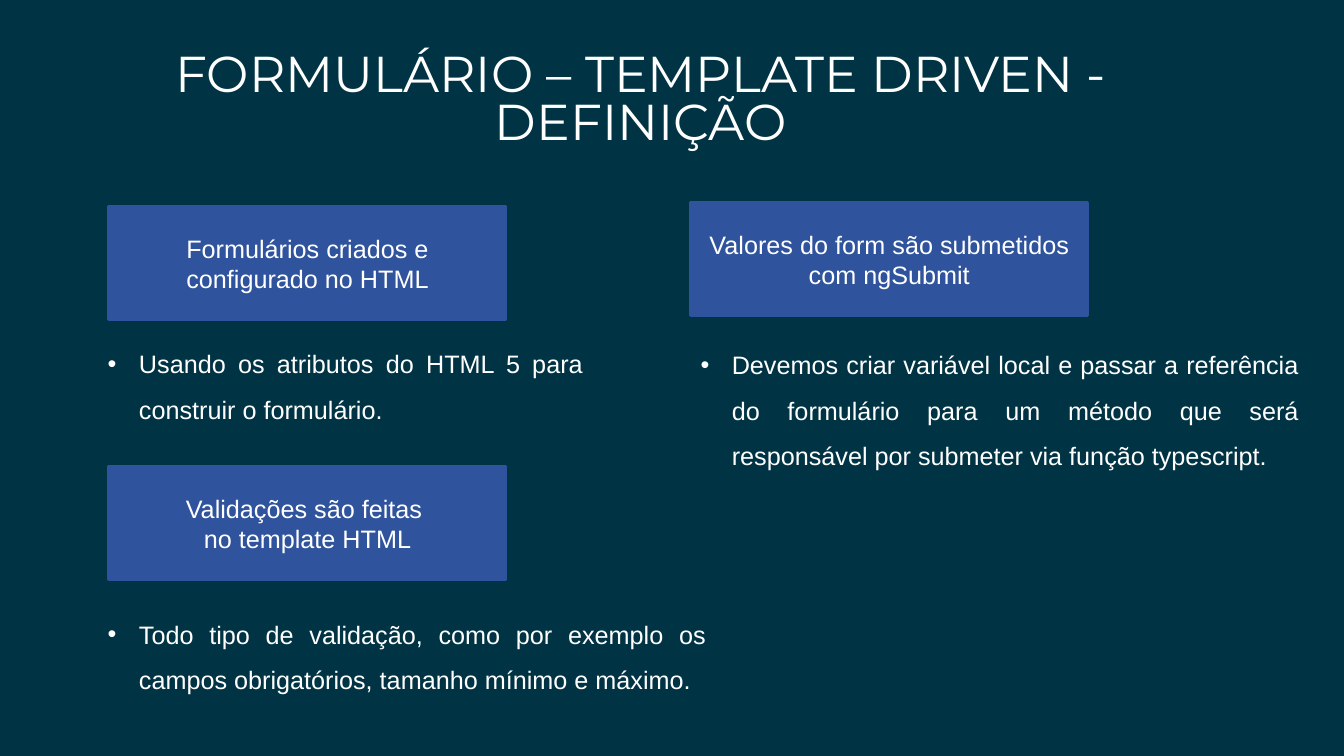
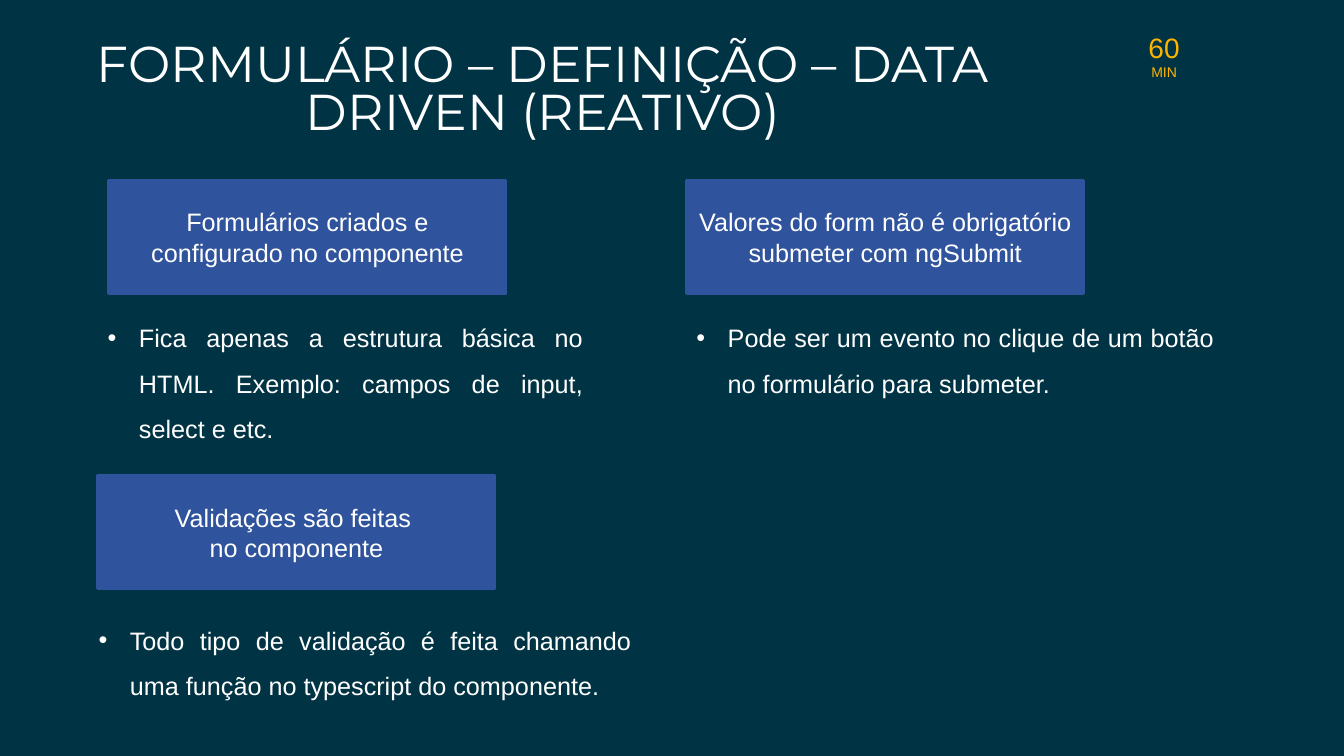
from dataclasses import dataclass

from lxml import etree
from pptx import Presentation
from pptx.dml.color import RGBColor
from pptx.enum import shapes, text
from pptx.oxml.ns import qn
from pptx.util import Inches, Pt

BACKGROUND = "003344"
WHITE = "FFFFFF"
BLUE = "2F539C"
AMBER = "FFB500"
BODY_FONT = "Arial"
TITLE_FONT = "Montserrat"
TITLE_WIDTH, TITLE_HEIGHT = 10.77, 0.91
LABEL_WIDTH, LABEL_HEIGHT = 3.94, 1.12
BULLET_INDENT = 0.31


@dataclass(frozen=True)
class Title:
    left: float
    top: float
    wording: str


@dataclass(frozen=True)
class Label:
    left: float
    top: float
    lines: tuple[str, ...]


@dataclass(frozen=True)
class Bullet:
    left: float
    top: float
    width: float
    height: float
    wording: str


@dataclass(frozen=True)
class Page:
    title: Title
    labels: tuple[Label, ...]
    bullets: tuple[Bullet, ...]
    minutes: str = ""


PAGES = (
    Page(
        Title(0.97, 0.48, "FORMULÁRIO – TEMPLATE DRIVEN - DEFINIÇÃO"),
        (
            Label(1.08, 4.63, ("Validações são feitas ", "no template HTML")),
            Label(1.08, 2.05, ("Formulários criados e configurado no HTML",)),
            Label(6.85, 2.01, ("Valores do form são submetidos com ngSubmit",)),
        ),
        (
            Bullet(0.97, 5.94, 6.13, 0.95,
                   "Todo tipo de validação, como por exemplo os campos "
                   "obrigatórios, tamanho mínimo e máximo."),
            Bullet(6.85, 3.27, 6.13, 1.46,
                   "Devemos criar variável local e passar a referência do "
                   "formulário para um método que será responsável por "
                   "submeter via função typescript."),
            Bullet(0.97, 3.26, 4.91, 1.01,
                   "Usando os atributos do HTML 5 para construir o formulário."),
        ),
    ),
    Page(
        Title(0, 0.38, "FORMULÁRIO – DEFINIÇÃO – DATA DRIVEN (REATIVO)"),
        (
            Label(0.97, 4.72, ("Validações são feitas ", "no componente")),
            Label(1.08, 1.79, ("Formulários criados e configurado no componente",)),
            Label(6.81, 1.79,
                  ("Valores do form não é obrigatório submeter com ngSubmit",)),
        ),
        (
            Bullet(0.88, 6, 5.48, 1.01,
                   "Todo tipo de validação é feita chamando uma função no "
                   "typescript do componente."),
            Bullet(6.81, 3, 5.33, 0.95,
                   "Pode ser um evento no clique de um botão no formulário "
                   "para submeter."),
            Bullet(0.97, 3, 4.91, 1.46,
                   "Fica apenas a estrutura básica no HTML. Exemplo: campos "
                   "de input, select e etc."),
        ),
        minutes="60",
    ),
)


def color(value: str) -> RGBColor:
    return RGBColor.from_string(value)


def box(left: float, top: float, width: float, height: float) -> tuple:
    return Inches(left), Inches(top), Inches(width), Inches(height)


def style(paragraph, size: float, font: str = BODY_FONT, fill: str = WHITE,
          alignment=text.PP_ALIGN.CENTER) -> None:
    paragraph.alignment = alignment
    paragraph.font.name = font
    paragraph.font.size = Pt(size)
    paragraph.font.color.rgb = color(fill)


def draw_title(slide, title: Title) -> None:
    shape = slide.shapes.title
    shape.left, shape.top, shape.width, shape.height = box(
        title.left, title.top, TITLE_WIDTH, TITLE_HEIGHT)
    frame = shape.text_frame
    frame.text = title.wording
    frame.auto_size = text.MSO_AUTO_SIZE.NONE
    frame.vertical_anchor = text.MSO_ANCHOR.TOP
    paragraph = frame.paragraphs[0]
    paragraph.line_spacing = 0.8
    style(paragraph, 36, TITLE_FONT)


def draw_label(slide, label: Label) -> None:
    shape = slide.shapes.add_shape(
        shapes.MSO_SHAPE.RECTANGLE,
        *box(label.left, label.top, LABEL_WIDTH, LABEL_HEIGHT))
    shape.shadow.inherit = False
    shape.fill.solid()
    shape.fill.fore_color.rgb = color(BLUE)
    shape.line.color.rgb = color(BLUE)
    shape.line.width = Pt(2)
    frame = shape.text_frame
    frame.word_wrap = True
    frame.vertical_anchor = text.MSO_ANCHOR.MIDDLE
    frame.text = "\n".join(label.lines)
    for paragraph in frame.paragraphs:
        style(paragraph, 18)


def draw_bullet(slide, bullet: Bullet) -> None:
    shape = slide.shapes.add_textbox(
        *box(bullet.left, bullet.top, bullet.width, bullet.height))
    frame = shape.text_frame
    frame.word_wrap = True
    frame.auto_size = text.MSO_AUTO_SIZE.SHAPE_TO_FIT_TEXT
    frame.text = bullet.wording
    paragraph = frame.paragraphs[0]
    properties = paragraph._p.get_or_add_pPr()
    properties.set("marL", str(Inches(BULLET_INDENT)))
    properties.set("indent", str(-Inches(BULLET_INDENT)))
    etree.SubElement(properties, qn("a:buFont"), typeface=BODY_FONT)
    etree.SubElement(properties, qn("a:buChar"), char="•")
    paragraph.line_spacing = 1.5
    style(paragraph, 18, alignment=text.PP_ALIGN.JUSTIFY)


def draw_duration(slide, minutes: str) -> None:
    frame = slide.shapes.add_textbox(*box(11.29, 0.25, 0.51, 0.61)).text_frame
    frame.word_wrap = False
    frame.auto_size = text.MSO_AUTO_SIZE.SHAPE_TO_FIT_TEXT
    frame.text = f"{minutes}\nMIN"
    for paragraph, size in zip(frame.paragraphs, (20, 10)):
        style(paragraph, size, fill=AMBER)


def draw_page(presentation, page: Page) -> None:
    slide = presentation.slides.add_slide(
        presentation.slide_layouts.get_by_name("Title Only"))
    draw_title(slide, page.title)
    for label in page.labels:
        draw_label(slide, label)
    for bullet in page.bullets:
        draw_bullet(slide, bullet)
    if page.minutes:
        draw_duration(slide, page.minutes)


def main() -> None:
    presentation = Presentation()
    presentation.slide_width = Inches(13.33)
    presentation.slide_height = Inches(7.5)
    background = presentation.slide_master.background.fill
    background.solid()
    background.fore_color.rgb = color(BACKGROUND)
    for page in PAGES:
        draw_page(presentation, page)
    presentation.save("out.pptx")


if __name__ == "__main__":
    main()
